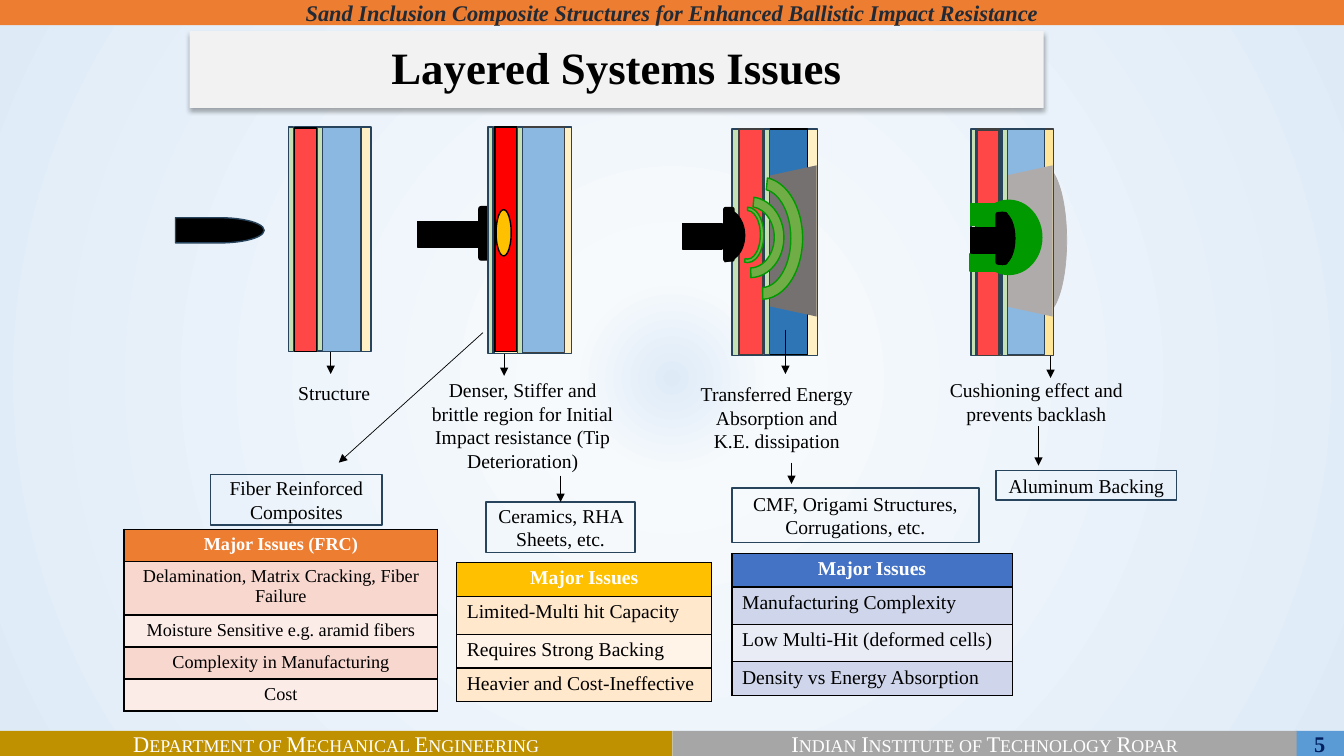
"""Build the slide on issues of layered ballistic protection systems."""
from dataclasses import dataclass
from typing import NamedTuple

from pptx import Presentation
from pptx import util as u
from pptx.dml.color import RGBColor
from pptx.enum import shapes, text
from pptx.oxml import parse_xml
from pptx.oxml.ns import nsdecls

PX = 9144
KIND = shapes.MSO_SHAPE
ALIGN = text.PP_ALIGN
MIDDLE = text.MSO_ANCHOR.MIDDLE


@dataclass(frozen=True)
class Theme:
    font: str = "Times New Roman"
    title: int = 32
    bar: int = 16
    body: int = 14
    small: int = 13
    black: str = "000000"
    white: str = "FFFFFF"
    title_fill: str = "F2F2F2"
    header_ink: str = "222A35"
    number_ink: str = "002060"
    orange: str = "ED7D31"
    ochre: str = "BF9000"
    gray: str = "A6A6A6"
    number_fill: str = "5B9BD5"
    edge: str = "28445D"
    charcoal: str = "404040"
    cream: str = "FFF1C5"
    backing: str = "FFE699"
    mint: str = "C5E0B4"
    red: str = "FF4747"
    hot_red: str = "FE0000"
    sky: str = "8BB8E1"
    blue: str = "2E75B6"
    gold: str = "FFC000"
    wave: str = "70AD47"
    green: str = "009900"
    cone: str = "767171"
    light_cone: str = "AFABAB"
    table_blue: str = "4472C4"


T = Theme()


class Box(NamedTuple):
    left: int
    top: int
    width: int
    height: int


class Piece(NamedTuple):
    box: Box
    fill: str | None
    line: str | None = T.edge
    kind: KIND = KIND.RECTANGLE
    rotation: int = 0
    adjust: tuple[float, ...] = ()
    weight: float = 1


class Arrow(NamedTuple):
    x1: int
    y1: int
    x2: int
    y2: int


class Projectile(NamedTuple):
    pieces: tuple[Piece, ...]


class Bar(NamedTuple):
    box: Box
    fill: str
    label: str
    style: dict


class Issues(NamedTuple):
    box: Box
    heights: tuple[int, ...]
    rows: tuple[str, ...]
    head: str
    bands: tuple[str, str]
    size: int
    align: ALIGN


def black(box: Box, kind: KIND = KIND.RECTANGLE, **options) -> Piece:
    return Piece(box, T.black, T.black, kind, **options)


def wave(box: Box, *adjust: float) -> Piece:
    return Piece(box, T.wave, T.green, KIND.BLOCK_ARC, 90, adjust)


HEAD = KIND.FLOWCHART_ALTERNATE_PROCESS
WIDE_WAVE = (111.218, 215.407, 0.144)
INTACT = (
    Piece(Box(174, 216, 88, 25), T.black, kind=KIND.FLOWCHART_DELAY),
    Piece(Box(292, 126, 76, 223), T.cream),
    Arrow(328, 328, 328, 371),
    Piece(Box(292, 127, 22, 222), T.red, T.black),
    Piece(Box(315, 126, 43, 223), T.sky),
    Piece(Box(286, 126, 5, 223), T.mint),
    Piece(Box(315, 126, 5, 222), T.mint),
)
CONTACT = (
    Arrow(500, 330, 500, 373),
    Projectile((
        black(Box(414, 220, 61, 25)),
        black(Box(475, 205, 14, 53), HEAD),
        Piece(Box(484, 126, 5, 225), T.mint),
        Piece(Box(490, 126, 77, 225), T.cream),
        Piece(Box(491, 126, 22, 223), T.hot_red, T.black),
        Piece(Box(492, 208, 15, 46), T.gold, T.black, KIND.OVAL),
        Piece(Box(514, 126, 46, 224), T.sky, T.charcoal),
        Piece(Box(513, 126, 5, 225), T.mint))),
    Arrow(479, 330, 336, 459),
)
TRANSFER = (
    Piece(Box(726, 128, 7, 225), T.mint),
    Piece(Box(734, 128, 77, 225), T.cream),
    Piece(Box(733, 128, 24, 224), T.red, T.charcoal),
    Projectile((
        black(Box(677, 222, 39, 25)),
        black(Box(718, 206, 10, 53), HEAD),
        black(Box(693, 214, 52, 39), KIND.BLOCK_ARC, rotation=90, adjust=(107.629, 0, 0.25)))),
    Piece(Box(758, 128, 43, 224), T.blue, T.black),
    Piece(Box(710, 214, 150, 50), T.cone, None, KIND.TRAPEZOID, 270, (0.218,)),
    Arrow(779, 327, 779, 371),
    Piece(Box(758, 128, 5, 224), T.mint),
    wave(Box(714, 217, 55, 32), 108, 3.771, 0.107),
    wave(Box(704, 202, 80, 67), *WIDE_WAVE),
    wave(Box(695, 196, 121, 81), *WIDE_WAVE),
)
CUSHION = (
    Arrow(1042, 336, 1042, 375),
    Piece(Box(1013, 165, 45, 147), T.light_cone, T.light_cone, KIND.ARC, 0, (162, 53.76), 0.5),
    Piece(Box(968, 128, 77, 225), T.backing, T.charcoal),
    Piece(Box(969, 129, 22, 224), T.red, T.charcoal),
    Piece(Box(993, 128, 43, 224), T.sky),
    Piece(Box(944, 214, 150, 50), T.light_cone, None, KIND.TRAPEZOID, 270, (0.218,)),
    Piece(Box(963, 128, 5, 225), T.mint),
    Piece(Box(963, 202, 25, 22), T.green, T.green),
    Piece(Box(962, 252, 26, 17), T.green, T.green),
    Piece(Box(994, 128, 5, 225), T.mint),
    Piece(Box(967, 198, 67, 75), T.green, None, KIND.OVAL),
    Projectile((
        black(Box(963, 226, 25, 25)),
        black(Box(988, 211, 11, 51), HEAD),
        black(Box(968, 224, 52, 25), KIND.BLOCK_ARC, rotation=90, adjust=(102.429, 0, 0.25)))),
)
LINKS = (Arrow(785, 459, 785, 480), Arrow(1030, 423, 1030, 462))
FOOTER = dict(color=T.white, small_caps=True)
BARS = (
    Bar(Box(0, 725, 667, 25), T.ochre, "Department of Mechanical Engineering", FOOTER),
    Bar(Box(1285, 725, 48, 25), T.number_fill, "5", dict(color=T.number_ink, bold=True)),
    Bar(Box(0, 0, 1333, 25), T.orange,
        "Sand Inclusion Composite Structures for Enhanced Ballistic Impact Resistance",
        dict(color=T.header_ink, bold=True, italic=True)),
    Bar(Box(667, 725, 619, 25), T.gray, "Indian Institute of Technology Ropar", FOOTER),
)
CAPTIONS = {
    "Denser, Stiffer and brittle region for Initial Impact resistance (Tip Deterioration)":
        Box(417, 370, 203, 104),
    "Transferred Energy Absorption and K.E. dissipation": Box(684, 374, 173, 81),
    "Cushioning effect and prevents backlash": Box(931, 370, 194, 57),
    "Structure": Box(241, 373, 181, 34),
}
CERAMICS = "Ceramics, RHA Sheets, etc."
MATERIALS = {
    CERAMICS: Box(482, 498, 148, 50),
    "CMF, Origami Structures, Corrugations, etc.": Box(726, 484, 245, 54),
    "Aluminum Backing": Box(988, 467, 179, 29),
    "Fiber Reinforced Composites": Box(209, 471, 170, 50),
}
TABLES = (
    Issues(Box(453, 558, 253, 138), (32, 38, 32, 31),
           ("Major Issues", "Limited-Multi hit Capacity", "Requires Strong Backing",
            "Heavier and Cost-Ineffective"), T.gold, ("FFE8CC", "FFF4E7"), T.body, ALIGN.LEFT),
    Issues(Box(726, 549, 278, 140), (29, 37, 37, 32),
           ("Major Issues", "Manufacturing Complexity", "Low Multi-Hit (deformed cells)",
            "Density vs Energy Absorption"), T.table_blue, ("CFD5EA", "E9EBF5"), T.body, ALIGN.LEFT),
    Issues(Box(123, 525, 311, 180), (27, 47, 27, 27, 27),
           ("Major Issues (FRC)", "Delamination, Matrix Cracking, Fiber Failure",
            "Moisture Sensitive e.g. aramid fibers", "Complexity in Manufacturing", "Cost"),
           T.orange, ("F8D7CE", "FCECE8"), T.small, ALIGN.CENTER),
)


def emu(*lengths: int) -> list[int]:
    return [length * PX for length in lengths]


def write(frame, content: str, *, size: int = T.body, color: str = T.black, bold: bool = False,
          italic: bool = False, small_caps: bool = False, align: ALIGN = ALIGN.CENTER,
          anchor=None, spacing: float | None = None) -> None:
    frame.text = content
    frame.word_wrap = True
    if anchor is not None:
        frame.vertical_anchor = anchor
    paragraph = frame.paragraphs[0]
    paragraph.alignment = align
    paragraph.line_spacing = spacing
    run = paragraph.runs[0]
    font = run.font
    font.name, font.size, font.bold, font.italic = T.font, u.Pt(size), bold, italic
    font.color.rgb = RGBColor.from_string(color)
    if small_caps:
        run._r.get_or_add_rPr().set("cap", "small")


def paint(fill, color: str | None) -> None:
    if color is None:
        fill.background()
    else:
        fill.solid()
        fill.fore_color.rgb = RGBColor.from_string(color)


def draw_piece(canvas, piece: Piece):
    shape = canvas.add_shape(piece.kind, *emu(*piece.box))
    shape.shadow.inherit = False
    paint(shape.fill, piece.fill)
    paint(shape.line.fill, piece.line)
    if piece.line:
        shape.line.width = u.Pt(piece.weight)
    shape.rotation = piece.rotation
    for index, value in enumerate(piece.adjust):
        shape.adjustments[index] = value
    return shape


def draw_arrow(canvas, arrow: Arrow):
    connector = canvas.add_connector(shapes.MSO_CONNECTOR.STRAIGHT, *emu(*arrow))
    paint(connector.line.fill, T.black)
    connector.line.width = u.Pt(0.5)
    connector.line._get_or_add_ln().append(parse_xml(f'<a:tailEnd {nsdecls("a")} type="triangle"/>'))
    connector._element.spPr.append(parse_xml(f'<a:effectLst {nsdecls("a")}/>'))
    return connector


def draw_items(canvas, items: tuple) -> None:
    for item in items:
        if isinstance(item, Projectile):
            draw_items(canvas.add_group_shape().shapes, item.pieces)
        elif isinstance(item, Arrow):
            draw_arrow(canvas, item)
        else:
            draw_piece(canvas, item)


def draw_table(canvas, issues: Issues) -> None:
    table = canvas.add_table(len(issues.rows), 1, *emu(*issues.box)).table
    table.horz_banding = False
    for index, (label, height) in enumerate(zip(issues.rows, issues.heights)):
        table.rows[index].height = height * PX
        cell = table.cell(index, 0)
        header = index == 0
        write(cell.text_frame, label, size=issues.size, bold=header,
              color=T.white if header else T.black,
              align=ALIGN.CENTER if header else issues.align)
        for side in "LRTB":
            cell._tc.get_or_add_tcPr().append(parse_xml(
                f'<a:ln{side} {nsdecls("a")} w="12700"><a:solidFill>'
                f'<a:srgbClr val="{T.black}"/></a:solidFill></a:ln{side}>'))
        paint(cell.fill, issues.head if header else issues.bands[(index - 1) % 2])


def set_background(slide) -> None:
    stops = "".join(f'<a:gs pos="{position}000"><a:srgbClr val="{color}"/></a:gs>'
                    for position, color in ((0, "DEEBF7"), (13, "F7FAFD"), (100, "DEEBF7")))
    slide.element.cSld.insert(0, parse_xml(
        f'<p:bg {nsdecls("p", "a")}><p:bgPr><a:gradFill rotWithShape="1"><a:gsLst>{stops}</a:gsLst>'
        '<a:path path="circle"><a:fillToRect l="50000" t="50000" r="50000" b="50000"/></a:path>'
        '</a:gradFill><a:effectLst/></p:bgPr></p:bg>'))


def format_title(title) -> None:
    title.left, title.top, title.width, title.height = emu(188, 31, 847, 76)
    paint(title.fill, T.title_fill)
    write(title.text_frame, "Layered Systems Issues", size=T.title, bold=True,
          anchor=MIDDLE, spacing=0.9)
    title.text_frame.auto_size = text.MSO_AUTO_SIZE.NONE
    title._element.spPr.append(parse_xml(
        f'<a:effectLst {nsdecls("a")}><a:outerShdw blurRad="44450" dist="27940" dir="5400000">'
        f'<a:srgbClr val="{T.black}"><a:alpha val="32000"/></a:srgbClr></a:outerShdw></a:effectLst>'))


def main() -> None:
    presentation = Presentation()
    presentation.slide_width, presentation.slide_height = emu(1333, 750)
    slide = presentation.slides.add_slide(presentation.slide_layouts[5])
    canvas = slide.shapes
    set_background(slide)
    format_title(canvas.title)
    for bar in BARS:
        shape = draw_piece(canvas, Piece(bar.box, bar.fill, None))
        write(shape.text_frame, bar.label, size=T.bar, anchor=MIDDLE, **bar.style)
    for panel in (INTACT, CONTACT, TRANSFER, CUSHION, LINKS):
        draw_items(canvas, panel)
    for label, box in CAPTIONS.items():
        frame = canvas.add_textbox(*emu(*box)).text_frame
        write(frame, label)
        frame.auto_size = text.MSO_AUTO_SIZE.SHAPE_TO_FIT_TEXT
    for label, box in MATERIALS.items():
        shape = draw_piece(canvas, Piece(box, None))
        write(shape.text_frame, label, anchor=MIDDLE)
        if label == CERAMICS:
            draw_arrow(canvas, Arrow(556, 472, 556, 498)).end_connect(shape, 0)
    for issues in TABLES:
        draw_table(canvas, issues)
    presentation.save("out.pptx")


if __name__ == "__main__":
    main()
